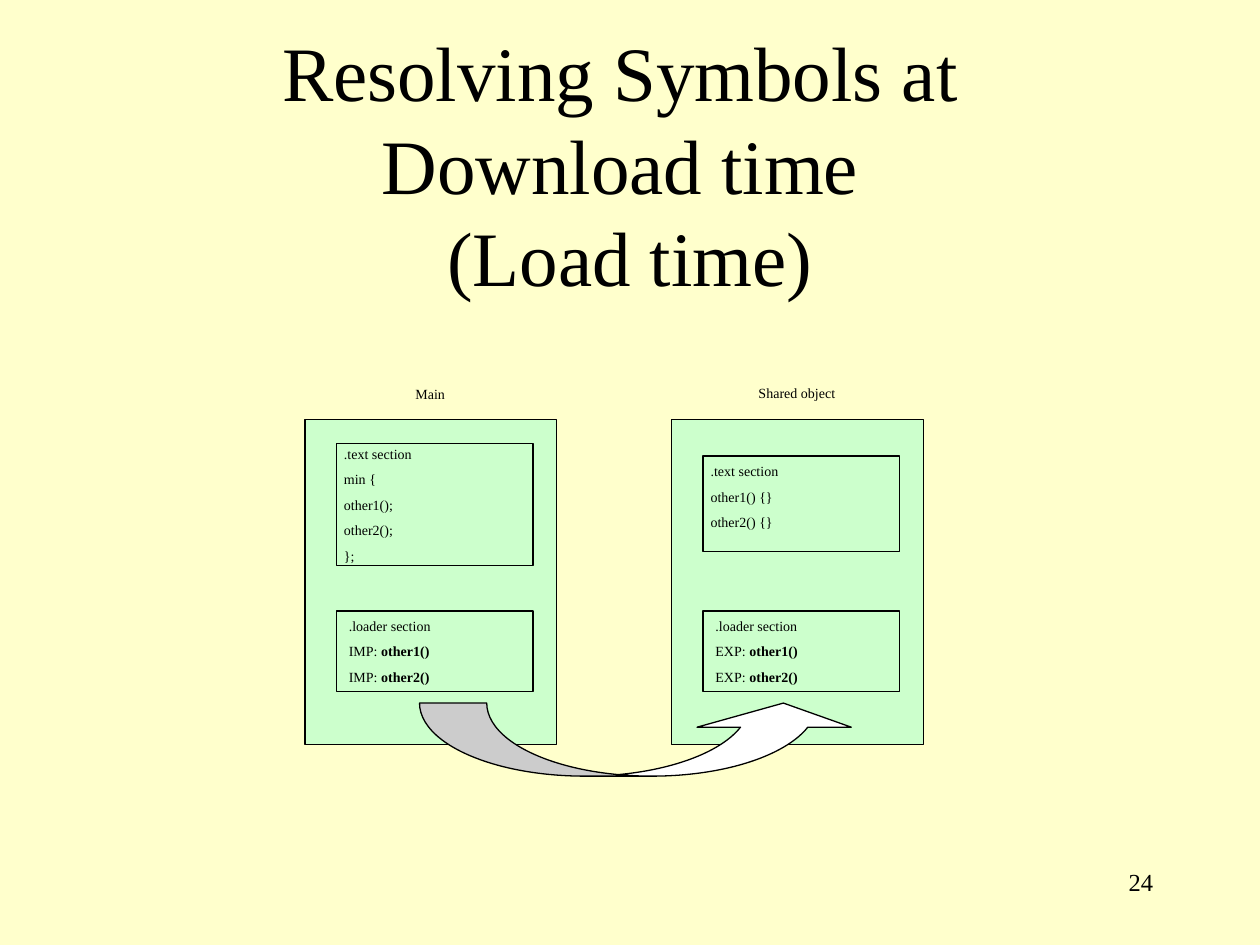
from pptx import Presentation
from pptx.dml.color import RGBColor
from pptx.enum.shapes import MSO_SHAPE
from pptx.enum.text import MSO_ANCHOR, PP_ALIGN
from pptx.util import Inches, Pt

CREAM = RGBColor(0xFF, 0xFF, 0xCC)
GREEN = RGBColor(0xCC, 0xFF, 0xCC)
WHITE = RGBColor(0xFF, 0xFF, 0xFF)
BLACK = RGBColor(0, 0, 0)
FONT = "Times New Roman"

# Content: a paragraph is a list of (text, bold) runs
TITLE = "Resolving Symbols at \vDownload time \v(Load time)"
PAGE_NUMBER = "24"


def plain(*lines):
    return [[(line, False)] for line in lines]


def loader(keyword):
    return plain(".loader section") + [
        [(f"{keyword}: ", False), (f"{name}()", True)] for name in ("other1", "other2")]


MODULES = [
    {"left": 2.42, "name": "Main", "label": (3.2, 3.01, 0.43, 0.24),
     "text": plain(".text section", "min {", "other1();", "other2();", "};"),
     "text_top": 3.52, "text_height": 0.97, "bottom_inset": 0.01,
     "loader": loader("IMP")},
    {"left": 5.33, "name": "Shared object", "label": (5.92, 3, 0.81, 0.24),
     "text": plain(".text section", "other1() {}", "other2() {}"),
     "text_top": 3.62, "text_height": 0.76, "bottom_inset": 0.13,
     "loader": loader("EXP")},
]
MODULE_TOP, MODULE_WIDTH, MODULE_HEIGHT = 3.33, 2, 2.58
SECTION_INDENT, SECTION_WIDTH = 0.25, 1.56
LOADER_TOP, LOADER_HEIGHT = 4.85, 0.64

prs = Presentation()
prs.slide_width, prs.slide_height = Inches(10), Inches(7.5)
slide = prs.slides.add_slide(prs.slide_layouts[6])
slide.background.fill.solid()
slide.background.fill.fore_color.rgb = CREAM


def set_text(s, paragraphs, size, align=PP_ALIGN.LEFT, anchor=MSO_ANCHOR.MIDDLE,
             insets=(0.1, 0.05, 0.1, 0.05), space=0, wrap=True):
    tf = s.text_frame
    tf.word_wrap = wrap
    tf.vertical_anchor = anchor
    tf.margin_left, tf.margin_top, tf.margin_right, tf.margin_bottom = map(Inches, insets)
    for i, runs in enumerate(paragraphs):
        p = tf.add_paragraph() if i else tf.paragraphs[0]
        p.alignment = align
        p.space_before = Pt(space)
        p.font.name, p.font.size = FONT, Pt(size)
        p.font.color.rgb = BLACK
        for text, bold in runs:
            if "\v" in text:
                p.text = text
                continue
            r = p.add_run()
            r.text = text
            if bold:
                r.font.bold = True


def add_text(box, text, size, **options):
    s = slide.shapes.add_textbox(*map(Inches, box))
    set_text(s, plain(text), size, **options)


def add_outlined(kind, box, fill=None):
    s = slide.shapes.add_shape(kind, *map(Inches, box))
    s.shadow.inherit = False
    if fill is None:
        s.fill.background()
    else:
        s.fill.solid()
        s.fill.fore_color.rgb = fill
    s.line.color.rgb = BLACK
    s.line.width = Pt(0.75)
    return s


# Title
add_text((0.75, 0.67, 8.5, 1.25), TITLE, 44, align=PP_ALIGN.CENTER)

# Modules with their text and loader sections
for m in MODULES:
    add_outlined(MSO_SHAPE.RECTANGLE,
                 (m["left"], MODULE_TOP, MODULE_WIDTH, MODULE_HEIGHT), GREEN)
    left = m["left"] + SECTION_INDENT
    s = add_outlined(MSO_SHAPE.RECTANGLE,
                     (left, m["text_top"], SECTION_WIDTH, m["text_height"]))
    set_text(s, m["text"], 8, space=5, insets=(0.06, 0.01, 0.06, m["bottom_inset"]))
    s = add_outlined(MSO_SHAPE.RECTANGLE, (left, LOADER_TOP, SECTION_WIDTH, LOADER_HEIGHT))
    set_text(s, m["loader"], 8, space=5)
    # No side insets, so that the name stays on one line
    add_text(m["label"], m["name"], 8, align=PP_ALIGN.CENTER, space=5,
             insets=(0, 0.05, 0, 0.05), wrap=False)

# Arrow from the imports to the exports
arrow = add_outlined(MSO_SHAPE.CURVED_UP_ARROW, (3.33, 5.58, 3.5, 0.58), WHITE)
for i, value in enumerate((0.92, 2.11, 0.33)):
    arrow.adjustments[i] = value

# Page number
add_text((7.17, 6.83, 2.08, 0.5), PAGE_NUMBER, 14,
         align=PP_ALIGN.RIGHT, anchor=MSO_ANCHOR.TOP)

prs.save("out.pptx")
